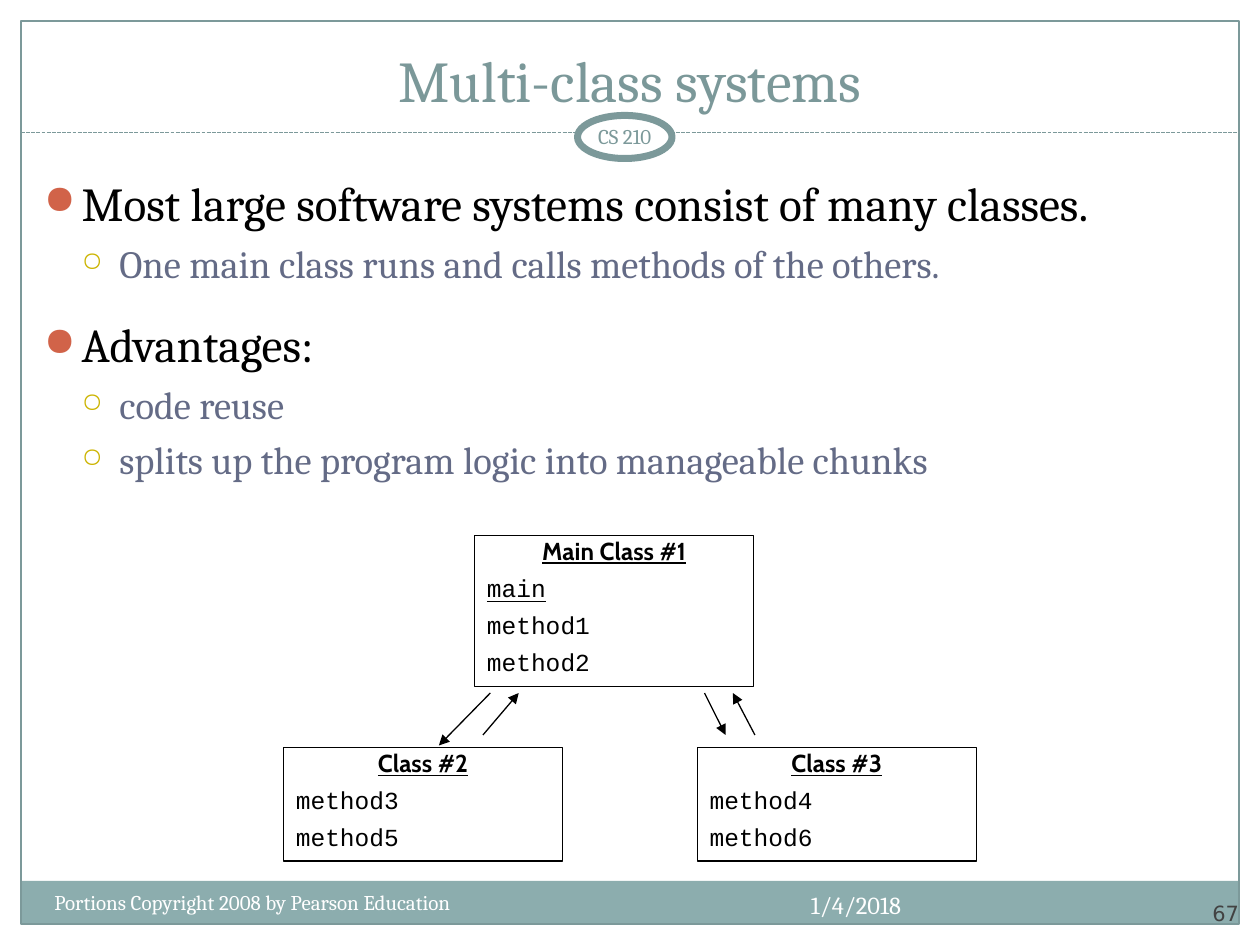
from typing import NamedTuple

from lxml.etree import SubElement
from pptx import Presentation
from pptx.dml.color import RGBColor
from pptx.enum.dml import MSO_LINE
from pptx.enum.shapes import MSO_CONNECTOR, MSO_SHAPE
from pptx.enum.text import MSO_ANCHOR as Anchor, PP_ALIGN as Align
from pptx.oxml.ns import qn
from pptx.util import Inches, Pt

# The slide is a grid of 120 columns by 90 rows; each cell is 1/12 inch.
COLUMNS, ROWS = 120, 90
COLORS = {
    "white": "FFFFFF", "black": "000000", "band": "8CADAE", "frame": "7C999A",
    "title": "7B9899", "number": "424242", "sub": "646B86",
    "bullet": "D16349", "sub_bullet": "CCB400",
}
SERIF = "Cambria"


class Area(NamedTuple):
    column: float
    row: float
    columns: float
    rows: float


class Label(NamedTuple):
    text: str
    area: Area
    size: float
    color: str
    align: Align = Align.LEFT
    anchor: Anchor = Anchor.TOP
    font: str = SERIF
    inset: float | None = None


class Level(NamedTuple):
    size: float
    color: str
    indent: float
    bullet: str
    bullet_color: str
    bullet_percent: int


class Point(NamedTuple):
    text: str
    level: Level
    space_before: float = 0


class ClassBox(NamedTuple):
    name: str
    methods: list[str]
    column: float
    row: float
    rows: float


class Arrow(NamedTuple):
    column: float
    row: float
    end_column: float
    end_row: float


MAIN = Level(27, "black", 0.3, "●", "bullet", 85)
SUB = Level(22, "sub", 0.6, "○", "sub_bullet", 70)

POINTS = [
    Point("Most large software systems consist of many classes.", MAIN),
    Point("One main class runs and calls methods of the others.", SUB, 5),
    Point("Advantages:", MAIN, 17),
    Point("code reuse", SUB, 5),
    Point("splits up the program logic into manageable chunks", SUB, 5),
]
CLASS_BOXES = [
    ClassBox("Main Class #1", ["main", "method1", "method2"], 45.2, 51, 14.4),
    ClassBox("Class #2", ["method3", "method5"], 27, 71.2, 10.8),
    ClassBox("Class #3", ["method4", "method6"], 66.4, 71.2, 10.8),
]
ARROWS = [
    Arrow(46.7, 66, 41.8, 71),
    Arrow(46, 70, 49.4, 66),
    Arrow(67.1, 66, 69.1, 70),
    Arrow(71.9, 70, 69.8, 66),
]
LABELS = [
    Label("67", Area(108, 83.4, 10, 4.8), 12, "number", Align.RIGHT,
          Anchor.BOTTOM, "DejaVu Sans", 0),
    Label("Multi-class systems", Area(4, 3, 112, 8.5), 33, "title",
          Align.CENTER, Anchor.BOTTOM),
    Label("1/4/2018", Area(67.1, 84.2, 19.9, 4.8), 14, "white", Align.RIGHT),
    Label("Portions Copyright 2008 by Pearson Education",
          Area(4, 84.1, 49, 4.8), 12, "white"),
    Label("CS 210", Area(54, 11, 11, 4), 12, "frame", Align.CENTER,
          Anchor.MIDDLE, inset=0.05),
]


def cells(*counts: float) -> list[int]:
    """Turn counts of grid cells into lengths."""
    return [Inches(count / 12) for count in counts]


def rgb(name: str) -> RGBColor:
    return RGBColor.from_string(COLORS[name])


def set_font(para, name: str, size: float, color: str) -> None:
    para.font.name = name
    para.font.size = Pt(size)
    para.font.color.rgb = rgb(color)


def add_box(page, kind, area: Area, fill=None, line=None, width: float = 0.75):
    box = page.shapes.add_shape(kind, *cells(*area))
    box.shadow.inherit = False
    if fill:
        box.fill.solid()
        box.fill.fore_color.rgb = rgb(fill)
    else:
        box.fill.background()
    if line:
        box.line.color.rgb = rgb(line)
        box.line.width = Pt(width)
    else:
        box.line.fill.background()
    return box


def add_line(page, ends: Arrow, color: str):
    line = page.shapes.add_connector(MSO_CONNECTOR.STRAIGHT, *cells(*ends))
    line.line.color.rgb = rgb(color)
    line.line.width = Pt(0.75)
    SubElement(line._element.spPr, qn("a:effectLst"))
    return line


def add_arrow(page, arrow: Arrow) -> None:
    line = add_line(page, arrow, "black")
    SubElement(line.line._get_or_add_ln(), qn("a:tailEnd"), type="triangle")


def add_label(page, label: Label) -> None:
    frame = page.shapes.add_textbox(*cells(*label.area)).text_frame
    frame.word_wrap = True
    frame.vertical_anchor = label.anchor
    if label.inset is not None:
        frame.margin_left = frame.margin_right = Inches(label.inset)
        frame.margin_top = frame.margin_bottom = Inches(label.inset)
    para = frame.paragraphs[0]
    para.text = label.text
    para.alignment = label.align
    set_font(para, label.font, label.size, label.color)


def add_bullet(para, level: Level) -> None:
    props = para._p.get_or_add_pPr()
    props.set("marL", str(Inches(level.indent)))
    props.set("indent", str(Inches(-0.3)))
    color = SubElement(props, qn("a:buClr"))
    SubElement(color, qn("a:srgbClr"), val=COLORS[level.bullet_color])
    SubElement(props, qn("a:buSzPct"), val=str(level.bullet_percent * 1000))
    SubElement(props, qn("a:buChar"), char=level.bullet)


def add_points(page, area: Area, points: list[Point]) -> None:
    frame = page.shapes.add_textbox(*cells(*area)).text_frame
    frame.word_wrap = True
    for index, point in enumerate(points):
        para = frame.add_paragraph() if index else frame.paragraphs[0]
        para.text = point.text
        para.level = 0 if point.level is MAIN else 1
        add_bullet(para, point.level)
        para.space_before = Pt(point.space_before)
        set_font(para, SERIF, point.level.size, point.level.color)


def add_class_box(page, item: ClassBox) -> None:
    area = Area(item.column, item.row, 26.6, item.rows)
    frame = add_box(page, MSO_SHAPE.RECTANGLE, area, line="black").text_frame
    frame.word_wrap = True
    frame.vertical_anchor = Anchor.TOP
    for index, text in enumerate([item.name, *item.methods]):
        heading = index == 0
        para = frame.paragraphs[0] if heading else frame.add_paragraph()
        para.text = text
        para.alignment = Align.CENTER if heading else Align.LEFT
        para.line_spacing = 0.8
        para.space_before = Pt(0 if heading else 7.7)
        set_font(para, "Cabin" if heading else "Courier New", 14, "black")
        para.font.bold = heading
        para.font.underline = heading or text == "main"


def main() -> None:
    deck = Presentation()
    deck.slide_width, deck.slide_height = cells(COLUMNS, ROWS)
    page = deck.slides.add_slide(deck.slide_layouts[6])
    add_box(page, MSO_SHAPE.RECTANGLE, Area(2, 83.9, 116, 4.1), fill="band")
    add_box(page, MSO_SHAPE.RECTANGLE, Area(2, 2, 116, 86), line="frame")
    divider = add_line(page, Arrow(2, 12.6, 118, 12.6), "frame")
    divider.line.dash_style = MSO_LINE.SQUARE_DOT
    add_box(page, MSO_SHAPE.OVAL, Area(55, 11, 9, 4.1), "white", "frame", 4)
    add_points(page, Area(3, 16, 114, 67), POINTS)
    for item in CLASS_BOXES:
        add_class_box(page, item)
    for arrow in ARROWS:
        add_arrow(page, arrow)
    for label in LABELS:
        add_label(page, label)
    deck.save("out.pptx")


if __name__ == "__main__":
    main()
